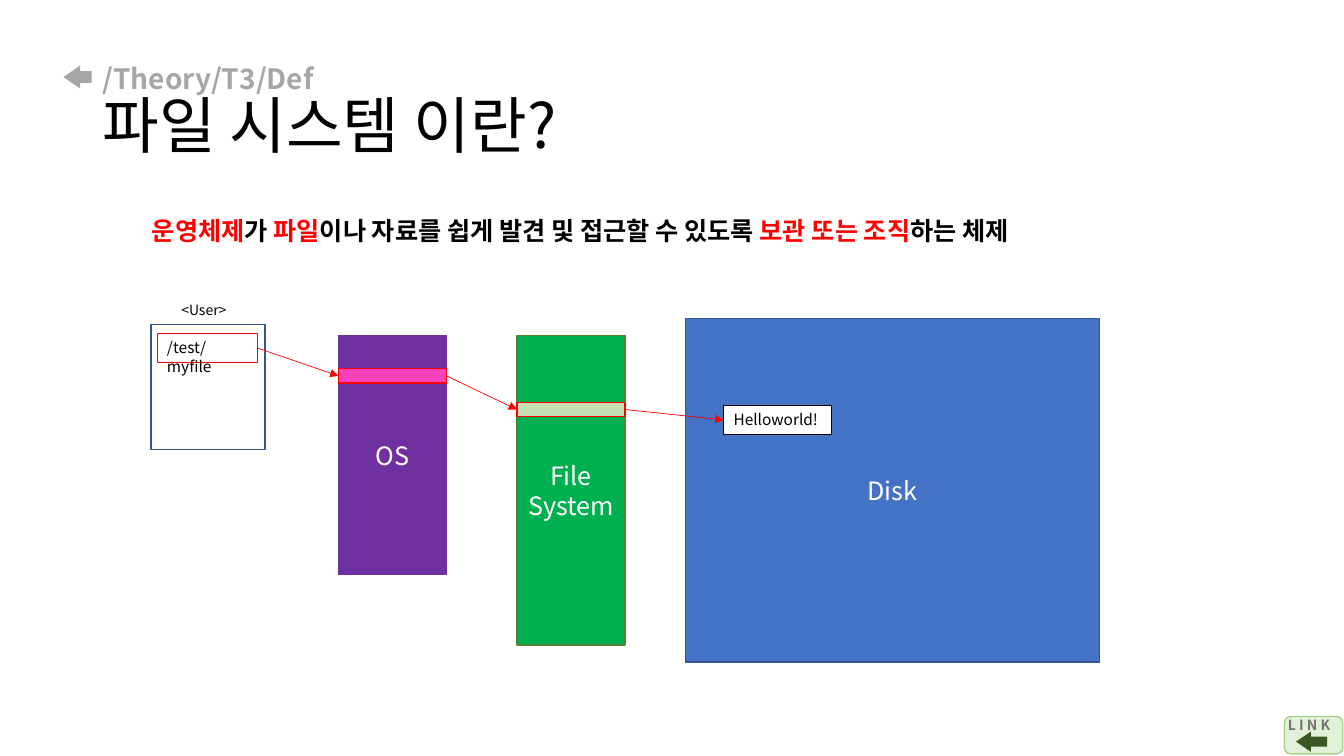
"""Build the slide that explains what a file system is."""
from dataclasses import dataclass
from typing import Optional

from lxml import etree
from pptx import Presentation
from pptx import util as u
from pptx.dml.color import RGBColor
from pptx.enum import shapes, text
from pptx.oxml.ns import qn

COLUMNS, ROWS = 32, 18
SLIDE_WIDTH, SLIDE_HEIGHT = u.Inches(13.333), u.Inches(7.5)


@dataclass(frozen=True)
class Theme:
    font: str = "Noto Sans CJK KR"
    latin: str = "Noto Sans"
    black: str = "000000"
    white: str = "FFFFFF"
    red: str = "FF0000"
    grey: str = "A6A6A6"
    link_text: str = "767171"
    link_fill: str = "E2F0D9"
    link_line: str = "A9D18E"
    link_arrow: str = "385723"
    blue: str = "4472C4"
    blue_line: str = "325491"
    purple: str = "7030A0"
    pink: str = "F743BB"
    green: str = "00B050"
    green_line: str = "548235"
    pale_green: str = "C5E0B4"
    title: float = 44
    breadcrumb: float = 20
    body: float = 18
    data: float = 11
    caption: float = 10


THEME = Theme()


@dataclass(frozen=True)
class Cell:
    column: float
    row: float
    columns: float
    rows: float

    def lengths(self) -> tuple[int, int, int, int]:
        across, down = SLIDE_WIDTH / COLUMNS, SLIDE_HEIGHT / ROWS
        return (round(self.column * across), round(self.row * down),
                round(self.columns * across), round(self.rows * down))


@dataclass(frozen=True)
class Box:
    cell: Cell
    fill: Optional[str] = None
    line: Optional[str] = None
    weight: float = 1
    label: str = ""
    size: float = THEME.body
    color: str = THEME.white
    centred: bool = True
    bold: bool = False
    kind: shapes.MSO_SHAPE = shapes.MSO_SHAPE.RECTANGLE


def set_font(paragraph, size: Optional[float], color: Optional[str], bold: Optional[bool],
             name: str = THEME.font) -> None:
    font = paragraph.font
    font.name = name
    font.bold = bold
    if size:
        font.size = u.Pt(size)
    if color:
        font.color.rgb = RGBColor.from_string(color)
    defaults = paragraph._p.pPr.find(qn("a:defRPr"))
    etree.SubElement(defaults, qn("a:ea")).set("typeface", THEME.font)


def write_label(shape, box: Box) -> None:
    frame = shape.text_frame
    frame.word_wrap = True
    frame.vertical_anchor = text.MSO_ANCHOR.MIDDLE if box.centred else text.MSO_ANCHOR.TOP
    paragraph = frame.paragraphs[0]
    paragraph.text = box.label
    paragraph.alignment = text.PP_ALIGN.CENTER if box.centred else text.PP_ALIGN.LEFT
    set_font(paragraph, box.size, box.color, box.bold)


def draw_box(parent, box: Box):
    shape = parent.add_shape(box.kind, *box.cell.lengths())
    shape.shadow.inherit = False
    if box.fill:
        shape.fill.solid()
        shape.fill.fore_color.rgb = RGBColor.from_string(box.fill)
    else:
        shape.fill.background()
    if box.line:
        shape.line.color.rgb = RGBColor.from_string(box.line)
        shape.line.width = u.Pt(box.weight)
    else:
        shape.line.fill.background()
    if box.kind == shapes.MSO_SHAPE.LEFT_ARROW:
        shape.adjustments[1] = 0.73
    if box.label:
        write_label(shape, box)
    return shape


def draw_caption(parent, box: Box) -> None:
    write_label(parent.add_textbox(*box.cell.lengths()), box)


def draw_request(parent, source, target) -> None:
    arrow = parent.add_connector(shapes.MSO_CONNECTOR.STRAIGHT, 0, 0, 0, 0)
    arrow.begin_connect(source, 3)
    arrow.end_connect(target, 1)
    arrow.line.color.rgb = RGBColor.from_string(THEME.red)
    arrow.line.width = u.Pt(0.5)
    etree.SubElement(arrow.line._get_or_add_ln(), qn("a:tailEnd")).set("type", "triangle")
    etree.SubElement(arrow._element.spPr, qn("a:effectLst"))


def write_title(title) -> None:
    title.left, title.top, title.width, title.height = Cell(2.2, 0.96, 27.6, 3.48).lengths()
    title.text_frame.vertical_anchor = text.MSO_ANCHOR.MIDDLE
    paragraph = title.text_frame.paragraphs[0]
    paragraph.alignment = text.PP_ALIGN.LEFT
    paragraph.line_spacing = 0.9
    breadcrumb = paragraph.add_run()
    breadcrumb.text = "/Theory/T3/Def "
    breadcrumb.font.size = u.Pt(THEME.breadcrumb)
    breadcrumb.font.bold = True
    breadcrumb.font.color.rgb = RGBColor.from_string(THEME.grey)
    paragraph.add_line_break()
    question = paragraph.add_run()
    question.text = "파일 시스템 이란?"
    question.font.size = u.Pt(THEME.title)
    question.font.color.rgb = RGBColor.from_string(THEME.black)
    set_font(paragraph, None, None, None)


def write_definition(parent) -> None:
    frame = parent.add_textbox(*Cell(3.38, 5.02, 24.12, 0.96).lengths()).text_frame
    frame.word_wrap = True
    paragraph = frame.paragraphs[0]
    for wording, color in (
        ("운영체제", THEME.red), ("가 ", THEME.black), ("파일", THEME.red),
        ("이나 자료를 쉽게 발견 및 접근할 수 있도록 ", THEME.black),
        ("보관 또는 조직", THEME.red), ("하는 체제", THEME.black),
    ):
        run = paragraph.add_run()
        run.text = wording
        run.font.color.rgb = RGBColor.from_string(color)
    set_font(paragraph, THEME.body, None, True, THEME.latin)


def draw_layers(parent) -> None:
    draw_box(parent, Box(Cell(16.32, 7.58, 9.86, 8.18), THEME.blue, THEME.blue_line, label="Disk"))
    draw_box(parent, Box(Cell(12.31, 7.99, 2.57, 7.37), THEME.green, THEME.green_line,
                         label="File System"))
    draw_box(parent, Box(Cell(8.06, 7.99, 2.57, 5.69), THEME.purple, THEME.purple, label="OS"))
    draw_box(parent, Box(Cell(3.6, 7.73, 2.71, 2.98), line=THEME.blue_line))
    draw_caption(parent, Box(Cell(4.08, 7.06, 1.73, 0.65), label="<User>", size=THEME.caption,
                             color=THEME.black, centred=False))
    stops = [draw_box(parent, stop) for stop in (
        Box(Cell(3.74, 7.94, 2.4, 0.7), None, THEME.red, 0.75, "/test/myfile", THEME.data,
            THEME.black, False),
        Box(Cell(8.06, 8.78, 2.57, 0.34), THEME.pink, THEME.red),
        Box(Cell(12.31, 9.58, 2.57, 0.34), THEME.pale_green, THEME.red),
        Box(Cell(17.23, 9.65, 2.57, 0.7), THEME.white, THEME.black, 0.75, "Helloworld!",
            THEME.data, THEME.black, False),
    )]
    for source, target in zip(stops, stops[1:]):
        draw_request(parent, source, target)


def draw_link(parent) -> None:
    link = parent.add_group_shape().shapes
    draw_box(link, Box(Cell(30.58, 17.06, 1.39, 0.89), THEME.link_fill, THEME.link_line,
                       kind=shapes.MSO_SHAPE.ROUNDED_RECTANGLE))
    draw_caption(link, Box(Cell(30.43, 16.94, 1.78, 1.06), label="L I N K", size=THEME.caption,
                           color=THEME.link_text, centred=False, bold=True))
    draw_box(link, Box(Cell(30.86, 17.42, 0.74, 0.48), THEME.link_arrow,
                       kind=shapes.MSO_SHAPE.LEFT_ARROW))


def main() -> None:
    deck = Presentation()
    deck.slide_width, deck.slide_height = SLIDE_WIDTH, SLIDE_HEIGHT
    slide = deck.slides.add_slide(deck.slide_layouts[5])
    write_title(slide.shapes.title)
    draw_box(slide.shapes, Box(Cell(1.51, 1.56, 0.67, 0.55), THEME.grey,
                               kind=shapes.MSO_SHAPE.LEFT_ARROW))
    write_definition(slide.shapes)
    draw_layers(slide.shapes)
    draw_link(slide.shapes)
    deck.save("out.pptx")


if __name__ == "__main__":
    main()
